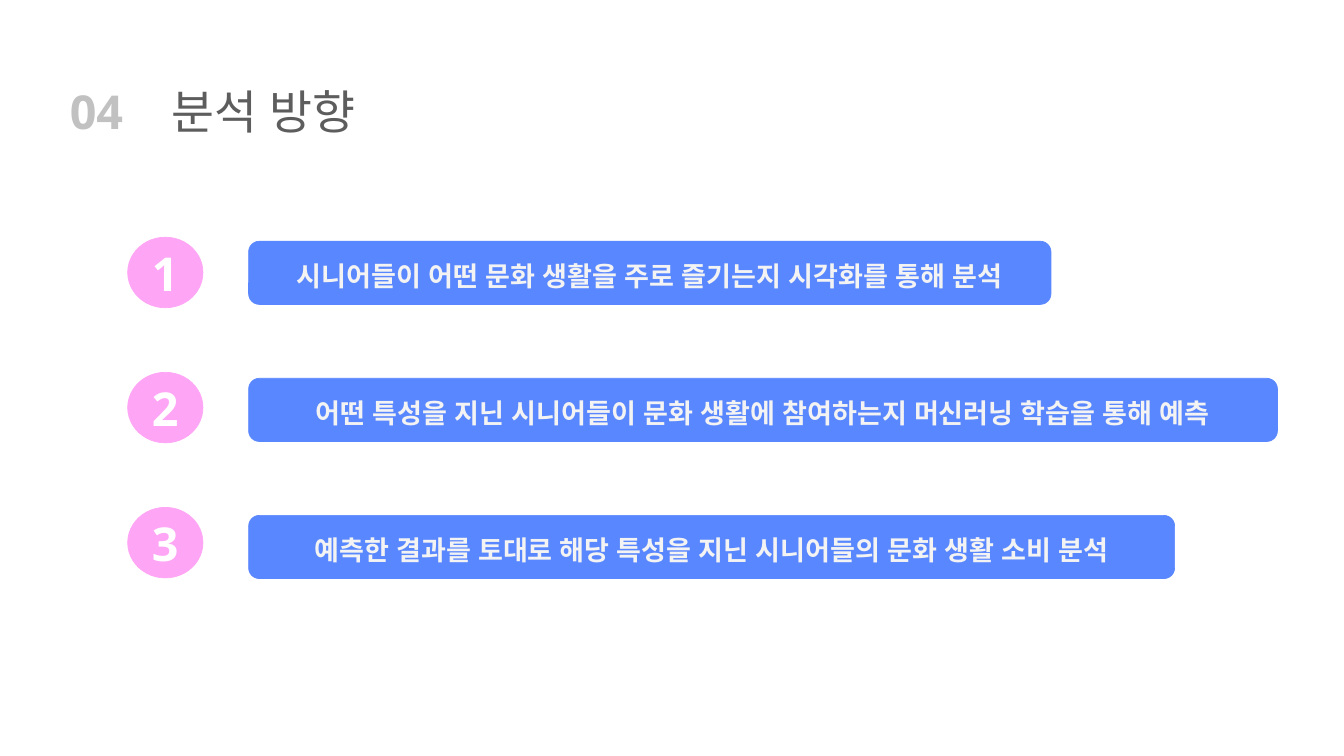
"""Build the analysis direction slide: a numbered heading and three numbered bars."""
from lxml.etree import SubElement
from pptx import Presentation
from pptx.dml.color import RGBColor
from pptx.enum.shapes import MSO_SHAPE
from pptx.enum.text import MSO_ANCHOR, PP_ALIGN
from pptx.oxml.ns import qn
from pptx.util import Inches, Pt

FONT = "Noto Sans"
HEADING = [
    ("분석 방향", 2.45, 11.94, {"size": Pt(50), "bold": False}, "5D5D5D"),
    ("04", 0.94, 1.84, {"size": Pt(50), "bold": True}, "C1C1C1"),
]
STEPS = [
    ("시니어들이 어떤 문화 생활을 주로 즐기는지 시각화를 통해 분석", 11.94),
    ("어떤 특성을 지닌 시니어들이 문화 생활에 참여하는지 머신러닝 학습을 통해 예측", 15.31),
    ("예측한 결과를 토대로 해당 특성을 지닌 시니어들의 문화 생활 소비 분석", 13.78),
]
HEADING_TOP, ROW_HEIGHT = 1.18, 0.94
CIRCLE_LEFT, CIRCLE_TOP, CIRCLE_PITCH = 1.9, 3.53, 2.01
CIRCLE_WIDTH, CIRCLE_HEIGHT = 1.12, 1.05
BAR_LEFT, BAR_TOP, BAR_PITCH = 3.7, 3.59, 2.04
PINK, BLUE = "FFA5F5", "5987FF"
NUMBER_FORMAT = {"size": Pt(50), "bold": True}
BAR_FORMAT = {"size": Pt(29), "bold": True}
SHAPE_FRAME = {
    "word_wrap": True,
    "vertical_anchor": MSO_ANCHOR.MIDDLE,
    "margin_left": Inches(0.1),
    "margin_right": Inches(0.1),
    "margin_top": Inches(0.1),
    "margin_bottom": Inches(0.1),
}


def color(hex_value):
    return RGBColor.from_string(hex_value)


def set_attributes(target, values):
    for name, value in values.items():
        setattr(target, name, value)


def write_text(shape, text, font_format, text_color):
    paragraph = shape.text_frame.paragraphs[0]
    run = paragraph.add_run()
    run.text = text
    set_attributes(run.font, {"name": FONT, **font_format})
    run.font.color.rgb = color(text_color)
    SubElement(run.font._element, qn("a:ea"), typeface=FONT)
    return paragraph


def add_filled_shape(slide, kind, box, fill, text, font_format, text_color):
    shape = slide.shapes.add_shape(kind, *map(Inches, box))
    shape.shadow.inherit = False
    shape.fill.solid()
    shape.fill.fore_color.rgb = shape.line.color.rgb = color(fill)
    shape.line.width = Pt(0.75)
    set_attributes(shape.text_frame, SHAPE_FRAME)
    paragraph = write_text(shape, text, font_format, text_color)
    paragraph.alignment = PP_ALIGN.CENTER
    return shape, paragraph


def main():
    presentation = Presentation()
    presentation.slide_width, presentation.slide_height = Inches(20), Inches(11.25)
    slide = presentation.slides.add_slide(presentation.slide_layouts[6])

    for text, left, width, font_format, text_color in HEADING:
        box = (left, HEADING_TOP, width, ROW_HEIGHT)
        shape = slide.shapes.add_textbox(*map(Inches, box))
        shape.text_frame.word_wrap = True
        write_text(shape, text, font_format, text_color)

    for index, (text, width) in enumerate(STEPS):
        circle_top = CIRCLE_TOP + index * CIRCLE_PITCH
        circle_box = (CIRCLE_LEFT, circle_top, CIRCLE_WIDTH, CIRCLE_HEIGHT)
        add_filled_shape(slide, MSO_SHAPE.OVAL, circle_box, PINK,
                         str(index + 1), NUMBER_FORMAT, "FFFFFF")
        bar_box = (BAR_LEFT, BAR_TOP + index * BAR_PITCH, width, ROW_HEIGHT)
        bar, paragraph = add_filled_shape(slide, MSO_SHAPE.ROUNDED_RECTANGLE, bar_box, BLUE,
                                          text, BAR_FORMAT, "F3F3F3")
        bar.adjustments[0] = 0.17
        paragraph.line_spacing = 1.15

    presentation.save("out.pptx")


if __name__ == "__main__":
    main()
